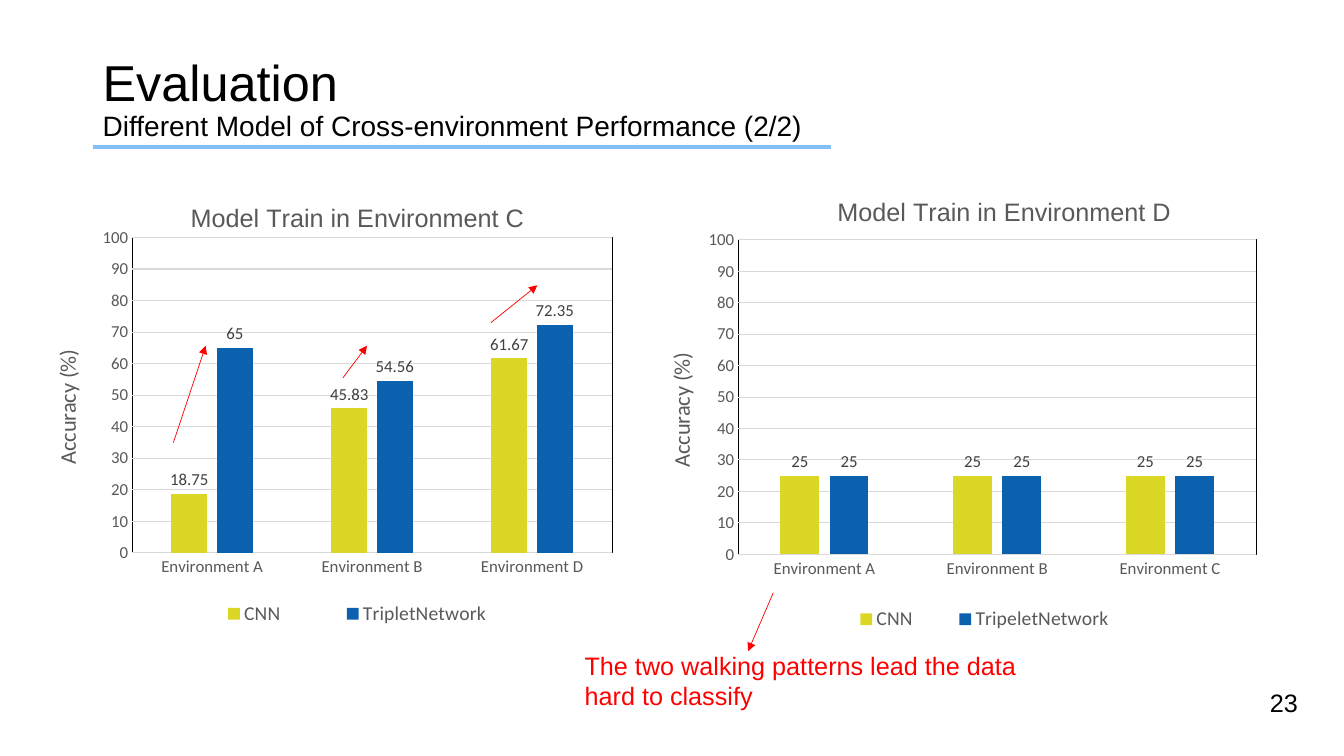
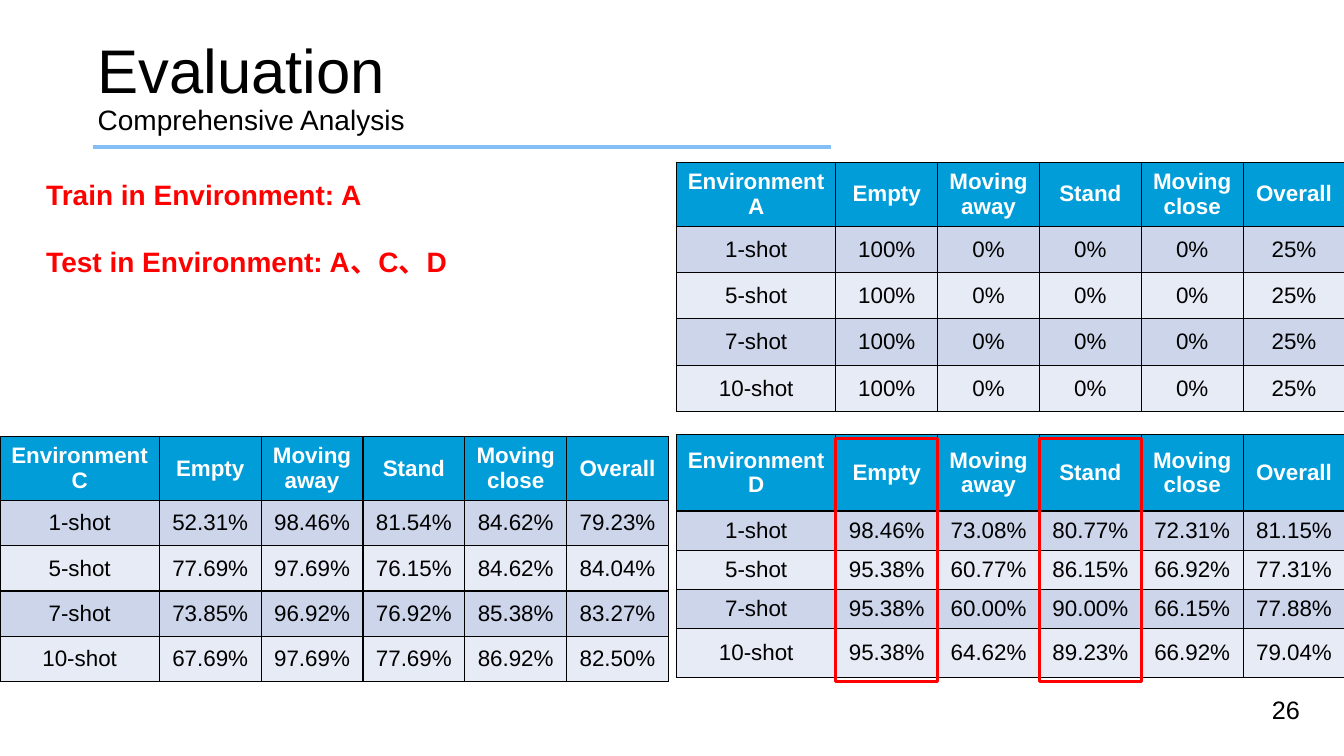
from pptx import Presentation
from pptx import util as u
from pptx.chart.data import CategoryChartData
from pptx.dml.color import RGBColor
from pptx.enum import chart as ch, shapes, text
from pptx.oxml import parse_xml
from pptx.oxml.ns import nsdecls, qn

# Shared style
HUE = {"ink": "000000", "white": "FFFFFF", "red": "FF0000", "rule": "83BFF6",
       "head": "009DD9", "odd": "CCD5EA", "even": "E7EBF5", "grid": "D9D9D9",
       "gray": "595959", "label": "404040", "cnn": "DBD725", "net": "0C61AF"}
SANS, BODY = "Arial", "Calibri"

# Content of the chart slide; "lay" holds x, y, w, h as shares of the chart
CHARTS = [
    {"title": "Model Train in Environment C", "at": (0.24, 1.82, 5.95, 4.47),
     "cats": ["Environment A", "Environment B", "Environment D"],
     "rows": [("CNN", (18.75, 45.83, 61.67)),
              ("TripletNetwork", (65, 54.56, 72.35))],
     "lay": {"plot": (0.18, 0.12, 0.8, 0.7), "title": (0.27, 0.03),
             "axis": (0.04, 0.36), "key": (0.24, 0.91, 0.63, 0.09)}},
    {"title": "Model Train in Environment D", "at": (6.38, 1.76, 6.27, 4.59),
     "cats": ["Environment A", "Environment B", "Environment C"],
     "rows": [("CNN", (25, 25, 25)), ("TripeletNetwork", (25, 25, 25))],
     "lay": {"plot": (0.15, 0.135, 0.82, 0.68), "title": (0.3, 0.03),
             "axis": (0.03, 0.37), "key": (0.28, 0.91, 0.52, 0.09)}},
]
ARROWS = [(1.72, 4.39, 2.04, 3.43), (3.4, 3.75, 3.64, 3.43),
          (4.87, 3.2, 5.33, 2.83), (7.67, 5.88, 7.42, 6.46)]
NOTE = "The two walking patterns lead the data hard to classify"

# Content of the table slide
HEADS = ["Empty", "Moving away", "Stand", "Moving close", "Overall"]
SHOTS = ["1-shot", "5-shot", "7-shot", "10-shot"]
COLS = [1.58] + [1.01] * 5
TABLES = [
    {"name": "Environment A", "at": (6.71, 1.61), "high": [0.59] + [0.46] * 4,
     "vals": [["100%", "0%", "0%", "0%", "25%"]] * 4},
    {"name": "Environment C", "at": (0, 4.33), "high": [0.59] + [0.45] * 4,
     "vals": [["52.31%", "98.46%", "81.54%", "84.62%", "79.23%"],
              ["77.69%", "97.69%", "76.15%", "84.62%", "84.04%"],
              ["73.85%", "96.92%", "76.92%", "85.38%", "83.27%"],
              ["67.69%", "97.69%", "77.69%", "86.92%", "82.50%"]]},
    {"name": "Environment D", "at": (6.71, 4.31),
     "high": [0.76, 0.39, 0.39, 0.39, 0.48], "marks": (1, 3),
     "vals": [["98.46%", "73.08%", "80.77%", "72.31%", "81.15%"],
              ["95.38%", "60.77%", "86.15%", "66.92%", "77.31%"],
              ["95.38%", "60.00%", "90.00%", "66.15%", "77.88%"],
              ["95.38%", "64.62%", "89.23%", "66.92%", "79.04%"]]},
]
SETUP = ["Train in Environment: A", "Test in Environment: A、C、D"]


def rgb(key):
    return RGBColor.from_string(HUE[key])


def inch(nums):
    return [u.Inches(n) for n in nums]


def style(font, size, hue="ink", face=SANS, bold=False):
    font.size, font.name, font.bold = u.Pt(size), face, bold
    font.color.rgb = rgb(hue)


def add_run(para, words, size, hue="ink", face=SANS, bold=False):
    run = para.add_run()
    run.text = words
    style(run.font, size, hue, face, bold)


def add_box(slide, at, mid=False):
    frame = slide.shapes.add_textbox(*inch(at)).text_frame
    frame.word_wrap = True
    if mid:
        frame.vertical_anchor = text.MSO_ANCHOR.MIDDLE
    return frame


def add_line(slide, ends, hue, width, head=False):
    line = slide.shapes.add_connector(shapes.MSO_CONNECTOR.STRAIGHT, *inch(ends))
    line.line.color.rgb = rgb(hue)
    line.line.width = u.Pt(width)
    if head:
        line.line._get_or_add_ln().append(
            parse_xml(f'<a:tailEnd {nsdecls("a")} type="triangle"/>'))
    line._element.spPr.append(parse_xml(f'<a:effectLst {nsdecls("a")}/>'))


def add_page(deck, sub, size, top, page, foot):
    """Blank slide with heading, rule and page number."""
    slide = deck.slides.add_slide(deck.slide_layouts[6])
    add_line(slide, (0.92, 1.46, 8.24, 1.46), "rule", 3.25)
    para = add_box(slide, (*top, 11.5, 1.45), True).paragraphs[0]
    para.line_spacing = 0.9
    add_run(para, "Evaluation", size)
    para.add_line_break()
    add_run(para, sub, 20)
    para = add_box(slide, (*foot, 3.19, 0.55), True).paragraphs[0]
    para.alignment = text.PP_ALIGN.RIGHT
    add_run(para, page, 18)
    return slide


def place(node, spot, inner=False):
    """Give a chart part a manual layout."""
    for old in node.findall(qn("c:layout")):
        node.remove(old)
    tags = ['<c:layoutTarget val="inner"/>'] if inner else []
    tags += [f'<c:{k}Mode val="edge"/>' for k in "xy"]
    tags += [f'<c:{k} val="{v}"/>' for k, v in zip("xywh", spot)]
    node.insert(0 if inner else 1, parse_xml(
        f'<c:layout {nsdecls("c")}><c:manualLayout>{"".join(tags)}'
        '</c:manualLayout></c:layout>'))


def add_bars(slide, item):
    data = CategoryChartData()
    data.categories = item["cats"]
    for name, vals in item["rows"]:
        data.add_series(name, vals)
    chart = slide.shapes.add_chart(ch.XL_CHART_TYPE.COLUMN_CLUSTERED,
                                   *inch(item["at"]), data).chart
    style(chart.font, 10, face=BODY)
    lay = item["lay"]

    # Titles and legend
    cat, val = chart.category_axis, chart.value_axis
    for owner, words, size, face, spot in (
            (chart.chart_title, item["title"], 18, SANS, lay["title"]),
            (val.axis_title, "Accuracy (%)", 16, BODY, lay["axis"])):
        add_run(owner.text_frame.paragraphs[0], words, size, "gray", face)
        place(owner._element, spot)
    chart.has_legend = True
    key = chart.legend
    key.position = ch.XL_LEGEND_POSITION.BOTTOM
    key.include_in_layout = False
    style(key.font, 14, "gray", BODY)
    place(key._element, lay["key"])

    # Axes
    for axis in (cat, val):
        axis.major_tick_mark = axis.minor_tick_mark = ch.XL_TICK_MARK.NONE
        style(axis.tick_labels.font, 12, "gray", BODY)
    val.minimum_scale, val.maximum_scale, val.major_unit = 0, 100, 10
    val.format.line.fill.background()
    for line in (cat.format.line, val.major_gridlines.format.line):
        line.color.rgb = rgb("grid")
        line.width = u.Pt(0.75)

    # Bars and their labels
    plot = chart.plots[0]
    plot.gap_width, plot.overlap, plot.vary_by_categories = 219, -27, False
    for bars, hue in zip(plot.series, ("cnn", "net")):
        bars.format.fill.solid()
        bars.format.fill.fore_color.rgb = rgb(hue)
        tags = bars.data_labels
        tags.show_value = True
        tags.position = ch.XL_LABEL_POSITION.OUTSIDE_END
        style(tags.font, 12, "label", BODY)

    # Plot area with a thin frame
    area = chart._chartSpace.chart.plotArea
    place(area, lay["plot"], True)
    area.append(parse_xml(
        f'<c:spPr {nsdecls("c", "a")}><a:noFill/><a:ln w="9525"><a:solidFill>'
        f'<a:srgbClr val="{HUE["ink"]}"/></a:solidFill></a:ln></c:spPr>'))


def fill_cell(cell, words, fill, head):
    props = cell._tc.get_or_add_tcPr()
    for side in "LRTB":
        props.append(parse_xml(
            f'<a:ln{side} {nsdecls("a")} w="12700"><a:solidFill>'
            f'<a:srgbClr val="{HUE["ink"]}"/></a:solidFill></a:ln{side}>'))
    cell.fill.solid()
    cell.fill.fore_color.rgb = rgb(fill)
    cell.vertical_anchor = text.MSO_ANCHOR.MIDDLE
    para = cell.text_frame.paragraphs[0]
    para.alignment = text.PP_ALIGN.CENTER
    add_run(para, words, 16, "white" if head else "ink", bold=head)


def add_grid(slide, item):
    rows = [[item["name"]] + HEADS]
    rows += [[shot] + vals for shot, vals in zip(SHOTS, item["vals"])]
    left, top = item["at"]
    tall = sum(item["high"])
    grid = slide.shapes.add_table(len(rows), len(COLS), *inch(
        (left, top, sum(COLS), tall))).table
    for col, wide in zip(grid.columns, COLS):
        col.width = u.Inches(wide)
    for r, (row, high) in enumerate(zip(rows, item["high"])):
        grid.rows[r].height = u.Inches(high)
        fill = "head" if r == 0 else "odd" if r % 2 else "even"
        for c, words in enumerate(row):
            fill_cell(grid.cell(r, c), words, fill, r == 0)

    # Red frames around marked columns
    for c in item.get("marks", ()):
        mark = slide.shapes.add_shape(shapes.MSO_SHAPE.RECTANGLE, *inch(
            (left + sum(COLS[:c]), top + 0.04, COLS[c], tall)))
        mark.shadow.inherit = False
        mark.fill.background()
        mark.line.color.rgb = rgb("red")
        mark.line.width = u.Pt(2.25)


def main():
    deck = Presentation()
    deck.slide_width, deck.slide_height = inch((13.33, 7.5))

    # Chart slide
    slide = add_page(deck, "Different Model of Cross-environment Performance (2/2)",
                     36, (0.92, 0.27), "23", (9.78, 6.69))
    for item in CHARTS:
        add_bars(slide, item)
    for ends in ARROWS:
        add_line(slide, ends, "red", 0.5, True)
    add_run(add_box(slide, (5.7, 6.4, 4.59, 0.71)).paragraphs[0], NOTE, 18, "red")

    # Table slide
    slide = add_page(deck, "Comprehensive Analysis", 44, (0.87, 0.15),
                     "26", (9.8, 6.76))
    for item in TABLES:
        add_grid(slide, item)
    frame = add_box(slide, (0.36, 1.71, 4.58, 1.11))
    for i, words in enumerate(SETUP):
        para = frame.add_paragraph() if i else frame.paragraphs[0]
        if i:
            para.space_before = u.Pt(24)
        add_run(para, words, 20, "red", bold=True)

    deck.save("out.pptx")


if __name__ == "__main__":
    main()
